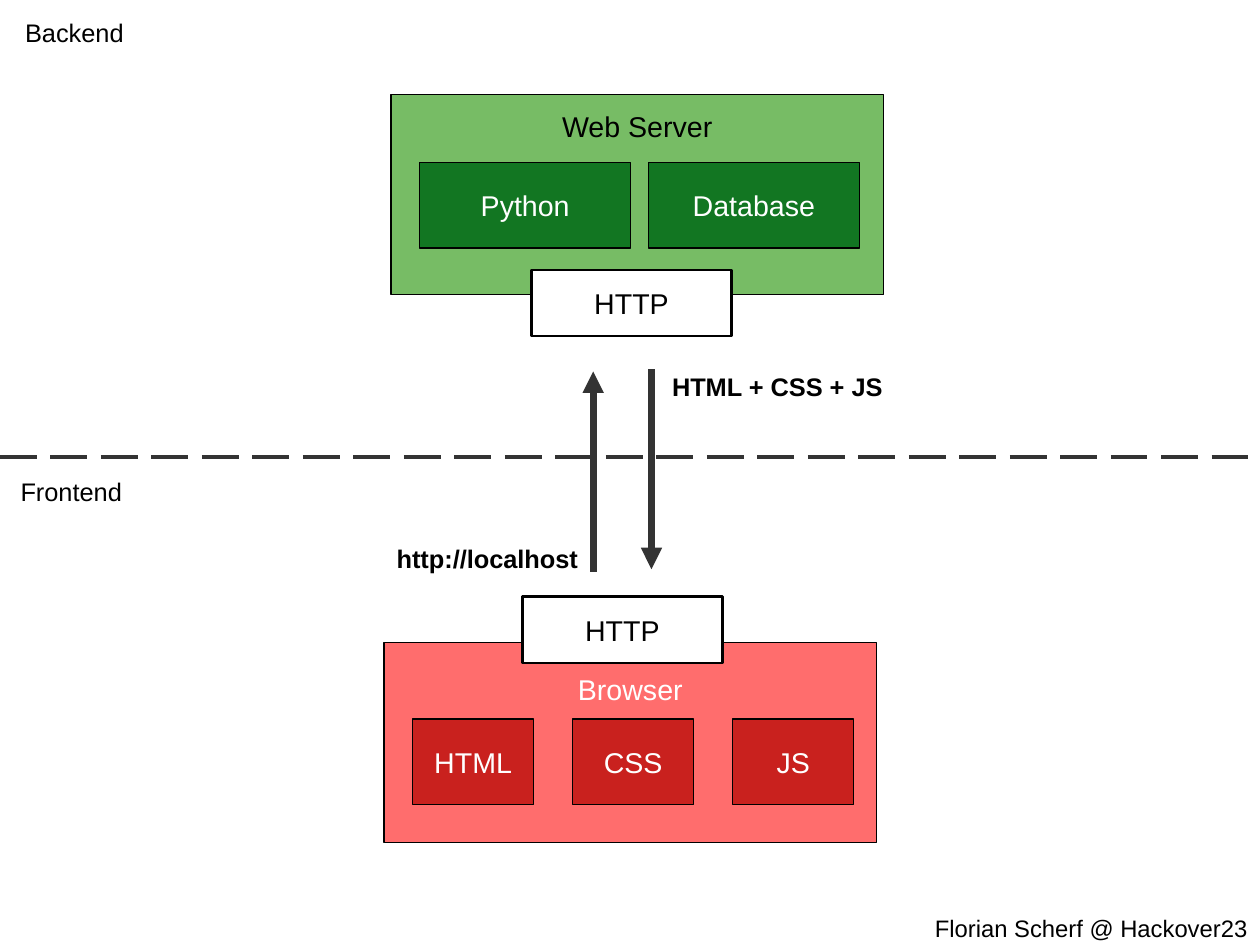
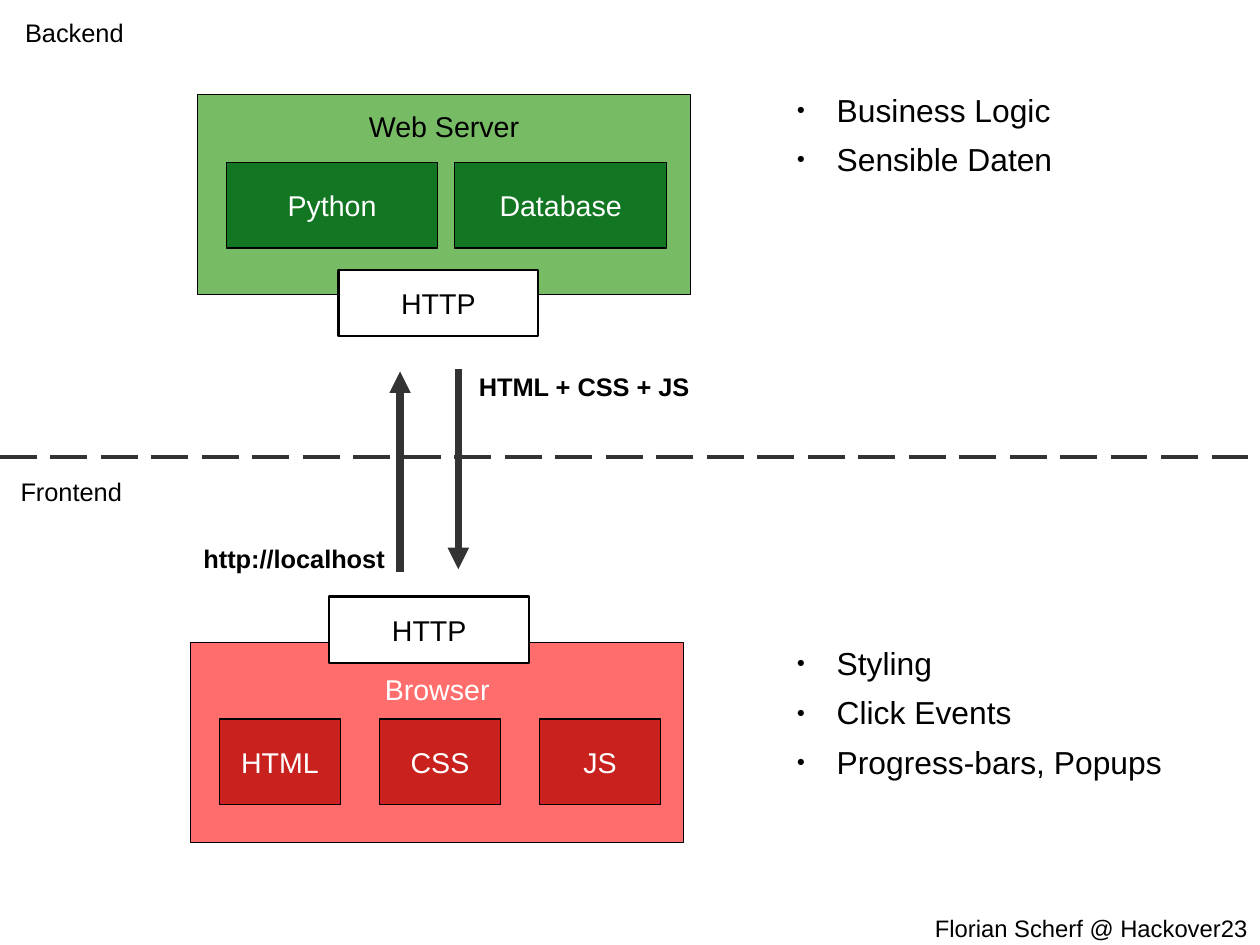
from lxml import etree
from pptx import Presentation
from pptx.dml.color import RGBColor
from pptx.enum.dml import MSO_LINE
from pptx.enum.shapes import MSO_CONNECTOR, MSO_SHAPE
from pptx.enum.text import MSO_ANCHOR, MSO_AUTO_SIZE, PP_ALIGN
from pptx.oxml.ns import qn
from pptx.util import Inches, Pt

RECTANGLE = MSO_SHAPE.RECTANGLE
STRAIGHT = MSO_CONNECTOR.STRAIGHT
LONG_DASH = MSO_LINE.LONG_DASH
TOP, MIDDLE = MSO_ANCHOR.TOP, MSO_ANCHOR.MIDDLE
CENTER = PP_ALIGN.CENTER
NO_AUTOFIT = MSO_AUTO_SIZE.NONE

FONT = "Arial"
BLACK, WHITE, GRAY = "000000", "FFFFFF", "333333"
LIGHT_GREEN, GREEN = "77BC65", "127622"
LIGHT_RED, RED = "FF6D6D", "C9211E"

# The page is 28 by 21 cm, given in inches.
PAGE_WIDTH, PAGE_HEIGHT = 28 / 2.54, 21 / 2.54
PANEL_WIDTH, PANEL_HEIGHT = 4.31, 1.75
PART_INDENT, PART_HEIGHT = 0.25, 0.75
TWO_CONTENT, BLANK = 3, 6


def color(value):
    return RGBColor.from_string(value)


def add_span(para, text, size, text_color=BLACK, bold=False):
    span = para.add_run()
    span.text = text
    span.font.name = FONT
    span.font.size = Pt(size)
    span.font.bold = bold
    span.font.color.rgb = color(text_color)


def clear_margins(frame):
    frame.margin_left = frame.margin_right = 0
    frame.margin_top = frame.margin_bottom = 0


def add_label(page, text, left, top, width, size=16, bold=False):
    box = page.shapes.add_textbox(Inches(left), Inches(top), Inches(width), Inches(0.3))
    frame = box.text_frame
    frame.word_wrap = True
    clear_margins(frame)
    add_span(frame.paragraphs[0], text, size, bold=bold)


def add_box(page, text, left, top, width, height, fill, text_color=WHITE,
            line_width=0, heading_inset=None):
    """Draw a captioned rectangle; heading_inset pins the caption below the top edge."""
    box = page.shapes.add_shape(RECTANGLE, Inches(left), Inches(top),
                                Inches(width), Inches(height))
    box.shadow.inherit = False
    box.fill.solid()
    box.fill.fore_color.rgb = color(fill)
    box.line.color.rgb = color(BLACK)
    box.line.width = Pt(line_width)
    frame = box.text_frame
    frame.vertical_anchor = MIDDLE
    if heading_inset is not None:
        frame.vertical_anchor = TOP
        frame.margin_top = Inches(heading_inset)
    para = frame.paragraphs[0]
    para.alignment = CENTER
    add_span(para, text, 18, text_color)


def add_panel(page, title, left, top, fill, title_color, heading_inset,
              parts, parts_top, part_width, part_pitch, part_fill):
    """Draw a large box holding an evenly spaced row of parts."""
    add_box(page, title, left, top, PANEL_WIDTH, PANEL_HEIGHT, fill, title_color,
            heading_inset=heading_inset)
    for column, part in enumerate(parts):
        add_box(page, part, left + PART_INDENT + column * part_pitch, parts_top,
                part_width, PART_HEIGHT, part_fill)


def add_http_port(page, left, top):
    add_box(page, "HTTP", left, top, 1.75, 0.58, WHITE, BLACK, line_width=1.5)


def add_line(page, start, end, width):
    line = page.shapes.add_connector(STRAIGHT, *map(Inches, start + end))
    line.line.color.rgb = color(GRAY)
    line.line.width = Pt(width)
    etree.SubElement(line._element.spPr, qn("a:effectLst"))
    return line


def add_arrow(page, start, end):
    arrow = add_line(page, start, end, 4.5)
    etree.SubElement(arrow.line._get_or_add_ln(), qn("a:tailEnd"), type="triangle")


def add_bullet(para):
    properties = para._p.get_or_add_pPr()
    properties.set("marL", str(Inches(0.47)))
    properties.set("indent", str(Inches(-0.35)))
    bullet_color = etree.SubElement(properties, qn("a:buClr"))
    etree.SubElement(bullet_color, qn("a:srgbClr"), val=BLACK)
    etree.SubElement(properties, qn("a:buSzPct"), val="45000")
    etree.SubElement(properties, qn("a:buFont"), typeface=FONT)
    etree.SubElement(properties, qn("a:buChar"), char="●")


def fill_list(box, items, top, height):
    box.left, box.top = Inches(6.85), Inches(top)
    box.width, box.height = Inches(4.15), Inches(height)
    frame = box.text_frame
    frame.auto_size = NO_AUTOFIT
    frame.vertical_anchor = TOP
    clear_margins(frame)
    for number, item in enumerate(items):
        para = frame.add_paragraph() if number else frame.paragraphs[0]
        para.space_before = Pt(7.2 if number else 0)
        add_bullet(para)
        add_span(para, item, 20)


def add_frame(page):
    """Add the divider, zone names and footer common to all slides."""
    divider = add_line(page, (0, 4), (PAGE_WIDTH, 4), 2.89)
    divider.line.dash_style = LONG_DASH
    add_label(page, "Backend", 0.22, 0.15, 2.97)
    add_label(page, "Frontend", 0.18, 4.17, 2.97)
    add_label(page, "Florian Scherf @ Hackover23", 8.18, 7.99, 2.84, size=15)


def add_diagram(page, left):
    """Draw server, browser and their exchange, starting at the server's left edge."""
    add_panel(page, "Web Server", left, 0.83, LIGHT_GREEN, BLACK, 0.12,
              ["Python", "Database"], 1.42, 1.85, 2, GREEN)
    add_http_port(page, left + 1.23, 2.36)
    add_panel(page, "Browser", left - 0.06, 5.62, LIGHT_RED, WHITE, 0.26,
              ["HTML", "CSS", "JS"], 6.29, 1.06, 1.4, RED)
    add_http_port(page, left + 1.15, 5.22)

    request, response = left + 1.77, left + 2.28
    add_arrow(page, (request, 5), (request, 3.25))
    add_arrow(page, (response, 3.23), (response, 4.98))
    add_label(page, "http://localhost", left + 0.05, 4.75, 1.7, bold=True)
    add_label(page, "HTML + CSS + JS", left + 2.46, 3.25, 2, bold=True)


def add_page(deck, layout, diagram_left):
    page = deck.slides.add_slide(deck.slide_layouts[layout])
    add_frame(page)
    add_diagram(page, diagram_left)
    return page


def main():
    deck = Presentation()
    deck.slide_width = Inches(PAGE_WIDTH)
    deck.slide_height = Inches(PAGE_HEIGHT)

    add_page(deck, BLANK, 3.42)

    page = add_page(deck, TWO_CONTENT, 1.73)
    title = page.shapes.title._element
    title.getparent().remove(title)
    backend_list, frontend_list = page.placeholders
    fill_list(backend_list, ["Business Logic", "Sensible Daten"], 0.79, 0.85)
    fill_list(frontend_list, ["Styling", "Click Events", "Progress-bars, Popups"],
              5.63, 1.37)

    deck.save("out.pptx")


if __name__ == "__main__":
    main()
